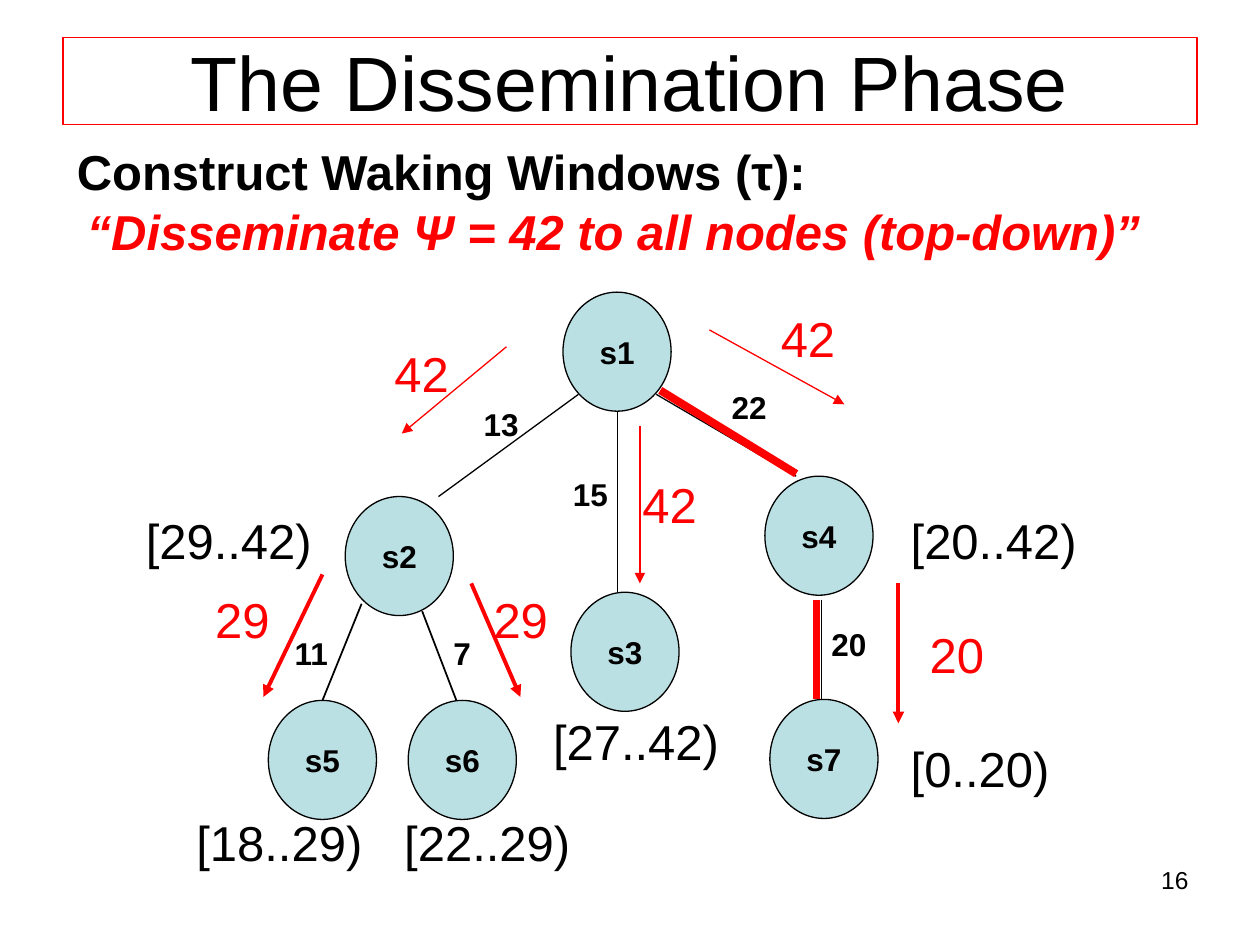
from dataclasses import dataclass

from lxml import etree
from pptx import Presentation
from pptx import util as u
from pptx.dml.color import RGBColor
from pptx.enum import shapes, text
from pptx.oxml.ns import qn


@dataclass(frozen=True)
class Theme:
    font: str = "Arial"
    ink: RGBColor = RGBColor(0, 0, 0)
    accent: RGBColor = RGBColor(0xFF, 0, 0)
    node: RGBColor = RGBColor(0xBB, 0xE0, 0xE3)
    title: int = 44
    large: int = 28
    label: int = 18
    footer: int = 14
    thin: float = 0.75
    medium: float = 1
    bold: float = 2.25
    heavy: float = 4.5


@dataclass
class Painter:
    theme: Theme
    slide: object

    def fill_text(self, shape, words, size, color, align=text.PP_ALIGN.LEFT,
                  anchor=text.MSO_ANCHOR.TOP, wrap=True, **look):
        frame = shape.text_frame
        layout = {"word_wrap": wrap, "auto_size": text.MSO_AUTO_SIZE.NONE,
                  "vertical_anchor": anchor}
        for name, value in layout.items():
            setattr(frame, name, value)
        para = frame.paragraphs[0]
        para.alignment = align
        span = para.add_run()
        span.text = words
        styles = {"name": self.theme.font, "size": u.Pt(size), **look}
        for name, value in styles.items():
            setattr(span.font, name, value)
        span.font.color.rgb = color

    def outline(self, shape, color, width):
        shape.line.color.rgb = color
        shape.line.width = u.Pt(width)

    def title(self, words, left, top, width, height):
        box = self.slide.shapes.title
        places = {"left": left, "top": top, "width": width, "height": height}
        for name, value in places.items():
            setattr(box, name, u.Cm(value))
        self.outline(box, self.theme.accent, self.theme.thin)
        self.fill_text(box, words, self.theme.title, self.theme.ink,
                       text.PP_ALIGN.CENTER, text.MSO_ANCHOR.MIDDLE)

    def label(self, words, left, top, width, height, size, color, **look):
        box = self.slide.shapes.add_textbox(
            u.Cm(left), u.Cm(top), u.Cm(width), u.Cm(height))
        self.fill_text(box, words, size, color, **look)

    def node(self, name, left, top):
        oval = self.slide.shapes.add_shape(
            shapes.MSO_SHAPE.OVAL, u.Cm(left), u.Cm(top), u.Cm(2.18), u.Cm(2.4))
        oval.shadow.inherit = False
        oval.fill.solid()
        oval.fill.fore_color.rgb = self.theme.node
        self.outline(oval, self.theme.ink, self.theme.thin)
        self.fill_text(oval, name, self.theme.label, self.theme.ink,
                       text.PP_ALIGN.CENTER, text.MSO_ANCHOR.MIDDLE, False, bold=True)
        return oval

    def line(self, ends, color, width, arrow=False):
        """Draw a straight line; ends holds start x, y and finish x, y in cm."""
        link = self.slide.shapes.add_connector(
            shapes.MSO_CONNECTOR.STRAIGHT, *[u.Cm(end) for end in ends])
        self.outline(link, color, width)
        properties = link._element.spPr
        if arrow:
            etree.SubElement(properties.find(qn("a:ln")), qn("a:tailEnd"), type="triangle")
        etree.SubElement(properties, qn("a:effectLst"))
        return link


def draw_tree(painter):
    theme = painter.theme
    edges = {
        "s2": ((11.66, 7.95, 8.84, 10.01), theme.thin),
        "s3": ((12.45, 8.31, 12.45, 11.94), theme.medium),
        "s4": ((13.23, 7.95, 16.05, 9.6), theme.thin),
        "s5": ((7.29, 12.17, 6.5, 14.12), theme.medium),
        "s6": ((8.51, 12.32, 9.3, 14.38), theme.medium),
        "s7": ((16.56, 12.09, 16.56, 14.1), theme.thin),
    }
    links = {child: painter.line(ends, theme.ink, width)
             for child, (ends, width) in edges.items()}
    places = {
        "s1": (11.35, 5.89), "s2": (6.96, 10.01), "s3": (11.51, 11.94),
        "s4": (15.42, 9.6), "s5": (5.41, 14.12), "s6": (8.23, 14.12),
        "s7": (15.52, 14.1),
    }
    nodes = {name: painter.node(name, *place) for name, place in places.items()}
    links["s5"].end_connect(nodes["s5"], 0)

    weights = [("13", 9.5, 8.05), ("15", 11.3, 9.45), ("22", 14.5, 7.7),
               ("11", 5.69, 12.65), ("7", 8.89, 12.65), ("20", 16.51, 12.47)]
    for words, left, top in weights:
        painter.label(words, left, top, 2.18, 1.02, theme.label, theme.ink, bold=True)

    critical_route = [(13.31, 7.87, 16.05, 9.55), (16.46, 12.09, 16.46, 14.1)]
    for ends in critical_route:
        painter.line(ends, theme.accent, theme.heavy)


def draw_messages(painter):
    """Add the value sent down each edge, with its arrow."""
    theme = painter.theme
    messages = [
        ("42", 7.7, 6.81, 3.35, (10.21, 6.99, 8.1, 8.74), theme.thin),
        ("42", 15.49, 6.1, 3.35, (14.3, 6.65, 17.02, 8.15), theme.thin),
        ("42", 12.7, 9.45, 3.35, (12.9, 8.59, 12.9, 11.76), theme.thin),
        ("20", 18.49, 12.47, 4.6, (18.11, 11.76, 18.11, 14.58), theme.bold),
        ("29", 4.09, 11.76, 3.4, (6.5, 11.58, 5.31, 14.05), theme.bold),
        ("29", 9.7, 11.76, 2.21, (9.5, 11.76, 10.49, 14.05), theme.bold),
    ]
    for words, left, top, width, ends, weight in messages:
        painter.label(words, left, top, width, 1.45, theme.large, theme.accent)
        painter.line(ends, theme.accent, weight, arrow=True)


def draw_windows(painter):
    """Add the waking window of each node below the root."""
    theme = painter.theme
    windows = [
        ("[29..42)", 2.69, 10.16, 4.8), ("[20..42)", 18.11, 10.16, 4.8),
        ("[0..20)", 18.11, 14.76, 4.8), ("[27..42)", 10.9, 14.22, 4),
        ("[18..29)", 3.71, 16.26, 4), ("[22..29)", 7.9, 16.26, 4),
    ]
    for words, left, top, width in windows:
        painter.label(words, left, top, width, 1.45, theme.large, theme.ink)


def main():
    deck = Presentation()
    deck.slide_width, deck.slide_height = u.Cm(25.4), u.Cm(19.05)
    page = deck.slides.add_slide(deck.slide_layouts[5])
    theme = Theme()
    painter = Painter(theme, page)
    painter.title("The Dissemination Phase", 1.27, 0.76, 22.86, 1.75)
    painter.label("Construct Waking Windows (τ):", 1.3, 2.72, 17.2, 1.45,
                  theme.large, theme.ink, bold=True)
    painter.label("“Disseminate Ψ = 42 to all nodes (top-down)”", 1.5, 3.94, 22.4, 1.45,
                  theme.large, theme.accent, bold=True, italic=True)
    draw_tree(painter)
    draw_messages(painter)
    draw_windows(painter)
    painter.label("16", 18.29, 17.32, 5.92, 1.32, theme.footer, theme.ink,
                  align=text.PP_ALIGN.RIGHT)
    deck.save("out.pptx")


if __name__ == "__main__":
    main()
